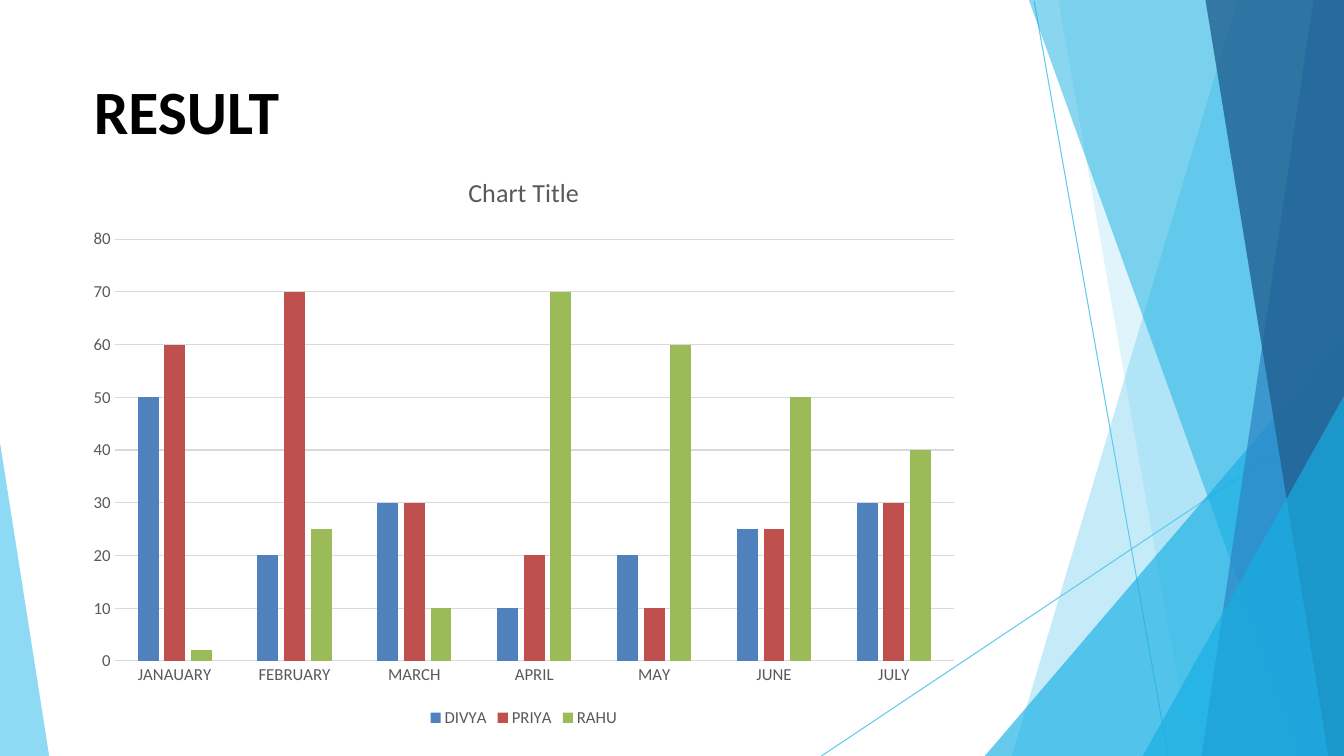
from lxml import etree
from pptx import Presentation
from pptx import util as u
from pptx.chart.data import CategoryChartData
from pptx.dml.color import RGBColor
from pptx.enum import chart as ch, shapes, text
from pptx.oxml import ns

BLACK = RGBColor(0x00, 0x00, 0x00)
GREY = RGBColor(0x59, 0x59, 0x59)
PALE = RGBColor(0xD9, 0xD9, 0xD9)
SKY = RGBColor(0x5F, 0xCA, 0xEE)
CYAN = RGBColor(0x17, 0xAF, 0xE3)
BLUE = RGBColor(0x2D, 0x83, 0xC3)
NAVY = RGBColor(0x22, 0x61, 0x92)
BARS = [RGBColor(0x4F, 0x81, 0xBD), RGBColor(0xC0, 0x50, 0x4D),
        RGBColor(0x9B, 0xBB, 0x59)]
FONT = "Calibri"
WIDE, HIGH = 33.87, 19.05  # slide size in cm


class Deck:
    """One slide and the style of its elements."""

    def __init__(self):
        self.prs = Presentation()
        self.prs.slide_width = u.Cm(WIDE)
        self.prs.slide_height = u.Cm(HIGH)
        self.slide = self.prs.slides.add_slide(self.prs.slide_layouts[5])
        self.shapes = self.slide.shapes

    def style(self, font, size, color, bold=False):
        font.name, font.size, font.bold = FONT, u.Pt(size), bold
        font.color.rgb = color

    def line(self, x1, y1, x2, y2):
        rule = self.shapes.add_connector(
            shapes.MSO_CONNECTOR.STRAIGHT,
            u.Cm(x1), u.Cm(y1), u.Cm(x2), u.Cm(y2))
        rule.line.color.rgb = SKY
        rule.line.width = u.Pt(0.75)
        etree.SubElement(rule.element.spPr, ns.qn("a:effectLst"))

    def panel(self, color, alpha, points):
        spots = [(u.Cm(x), u.Cm(y)) for x, y in points]
        pen = self.shapes.build_freeform(*spots[0], scale=1.0)
        pen.add_line_segments(spots[1:], close=True)
        shape = pen.convert_to_shape()
        shape.shadow.inherit = False
        shape.line.fill.background()
        shape.fill.solid()
        shape.fill.fore_color.rgb = color
        tone = shape.element.spPr.find(".//" + ns.qn("a:srgbClr"))
        etree.SubElement(tone, ns.qn("a:alpha"), val=str(alpha * 1000))

    def title(self, words, x, y, w, h):
        box = self.shapes.title
        box.left, box.top = u.Cm(x), u.Cm(y)
        box.width, box.height = u.Cm(w), u.Cm(h)
        frame = box.text_frame
        frame.word_wrap = True
        frame.auto_size = text.MSO_AUTO_SIZE.SHAPE_TO_FIT_TEXT
        frame.vertical_anchor = text.MSO_ANCHOR.TOP
        para = frame.paragraphs[0]
        para.alignment = text.PP_ALIGN.LEFT
        run = para.add_run()
        run.text = words
        self.style(run.font, 44, BLACK, True)

    def columns(self, head, cats, rows, x, y, w, h):
        data = CategoryChartData()
        data.categories = cats
        for name, vals in rows.items():
            data.add_series(name, vals)
        chart = self.shapes.add_chart(
            ch.XL_CHART_TYPE.COLUMN_CLUSTERED,
            u.Cm(x), u.Cm(y), u.Cm(w), u.Cm(h), data).chart
        self.style(chart.font, 10, BLACK)

        # Heading and legend
        chart.has_title = True
        run = chart.chart_title.text_frame.paragraphs[0].add_run()
        run.text = head
        self.style(run.font, 18.6, GREY)
        chart.has_legend = True
        chart.legend.position = ch.XL_LEGEND_POSITION.BOTTOM
        chart.legend.include_in_layout = False
        self.style(chart.legend.font, 12, GREY)

        # Bars
        plot = chart.plots[0]
        plot.gap_width, plot.overlap = 219, -27
        plot.vary_by_categories = False
        for bar, color in zip(plot.series, BARS):
            bar.format.fill.solid()
            bar.format.fill.fore_color.rgb = color

        # Axes
        base, scale = chart.category_axis, chart.value_axis
        for axis in (base, scale):
            axis.major_tick_mark = ch.XL_TICK_MARK.NONE
            axis.minor_tick_mark = ch.XL_TICK_MARK.NONE
            self.style(axis.tick_labels.font, 12, GREY)
        scale.minimum_scale, scale.maximum_scale = 0, 80
        scale.major_unit = 10
        scale.has_major_gridlines = True
        scale.format.line.fill.background()
        for part in (base, scale.major_gridlines):
            part.format.line.color.rgb = PALE
            part.format.line.width = u.Pt(0.75)


def band(top, foot):
    """Panel from a slanted edge to the right side of the slide."""
    return [(WIDE, 0), (top, 0), (foot, HIGH), (WIDE, HIGH)]


def wedge(foot, top):
    """Triangle in the lower right corner."""
    return [(WIDE, top), (foot, HIGH), (WIDE, HIGH)]


def main():
    deck = Deck()

    # Background facets
    deck.line(26.06, 0.02, 29.44, HIGH)
    deck.line(WIDE, 10.26, 20.7, HIGH)
    for facet in [
        (SKY, 36, band(31.19, 25.5)),
        (SKY, 20, band(26.67, 30.02)),
        (CYAN, 66, wedge(24.82, 8.46)),
        (CYAN, 50, band(25.93, 32.79)),
        (BLUE, 70, band(33.1, 30.28)),
        (NAVY, 80, band(30.38, 33.48)),
        (CYAN, 66, wedge(28.8, 9.98)),
        (SKY, 70, [(0, 11.15), (0, HIGH), (1.24, HIGH)]),
    ]:
        deck.panel(*facet)

    # Title and chart
    deck.title("RESULT", 2.11, 1.7, 12.5, 2.13)
    deck.columns(
        "Chart Title",
        ["JANAUARY", "FEBRUARY", "MARCH", "APRIL", "MAY", "JUNE", "JULY"],
        {"DIVYA": [50, 20, 30, 10, 20, 25, 30],
         "PRIYA": [60, 70, 30, 20, 10, 25, 30],
         "RAHU": [2, 25, 10, 70, 60, 50, 40]},
        1.91, 3.84, 22.58, 14.6)

    deck.prs.save("out.pptx")


if __name__ == "__main__":
    main()
